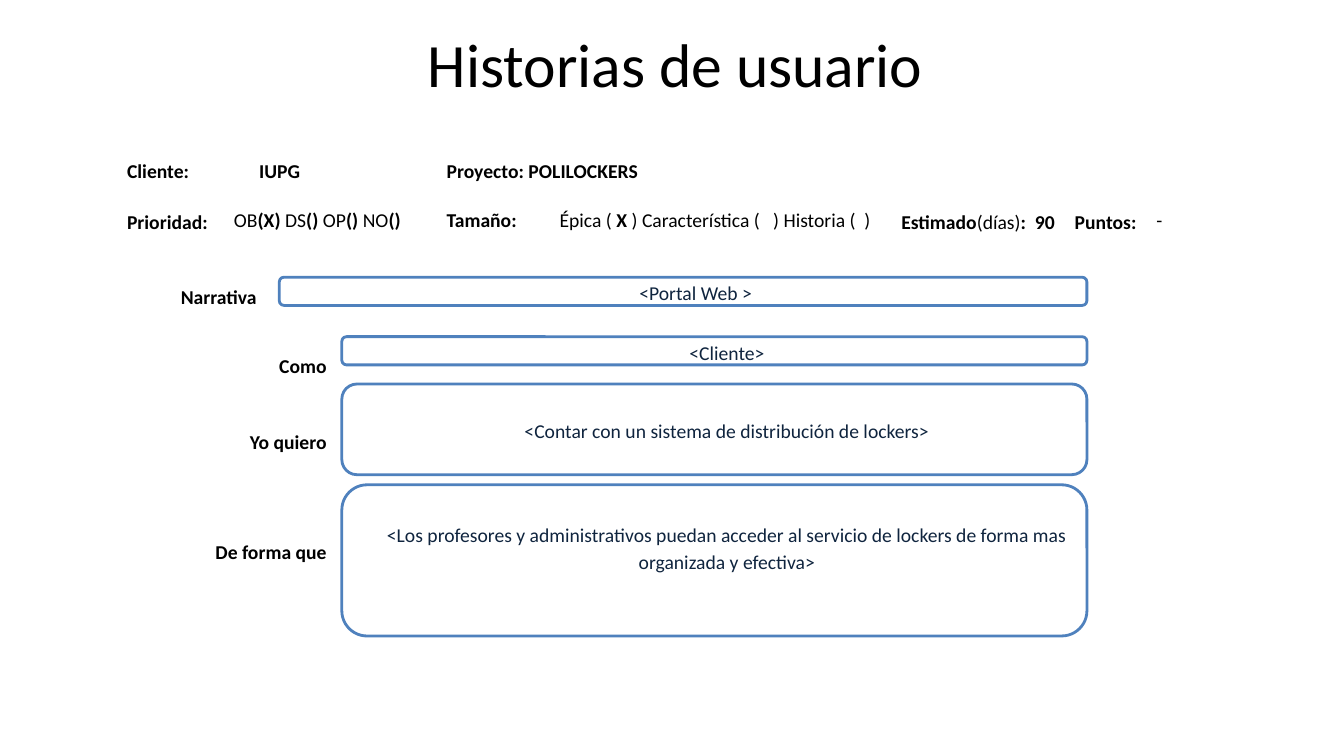
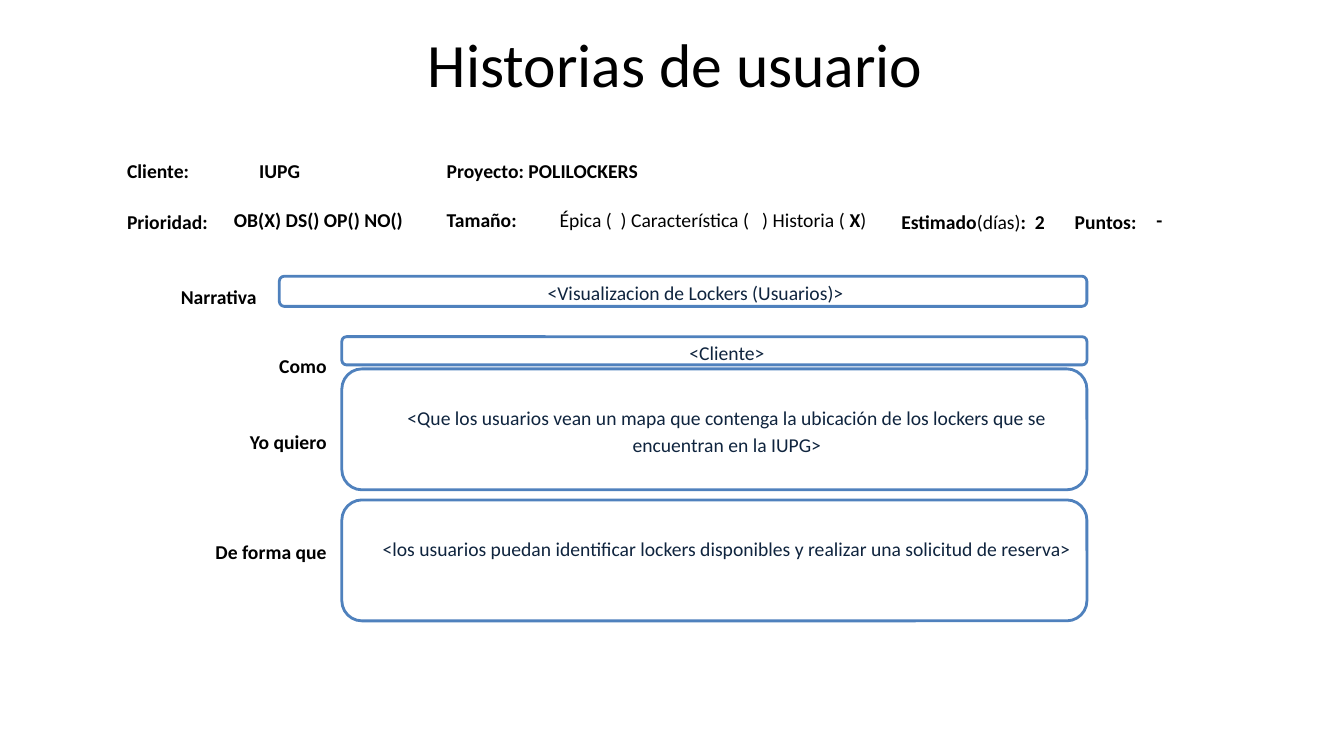
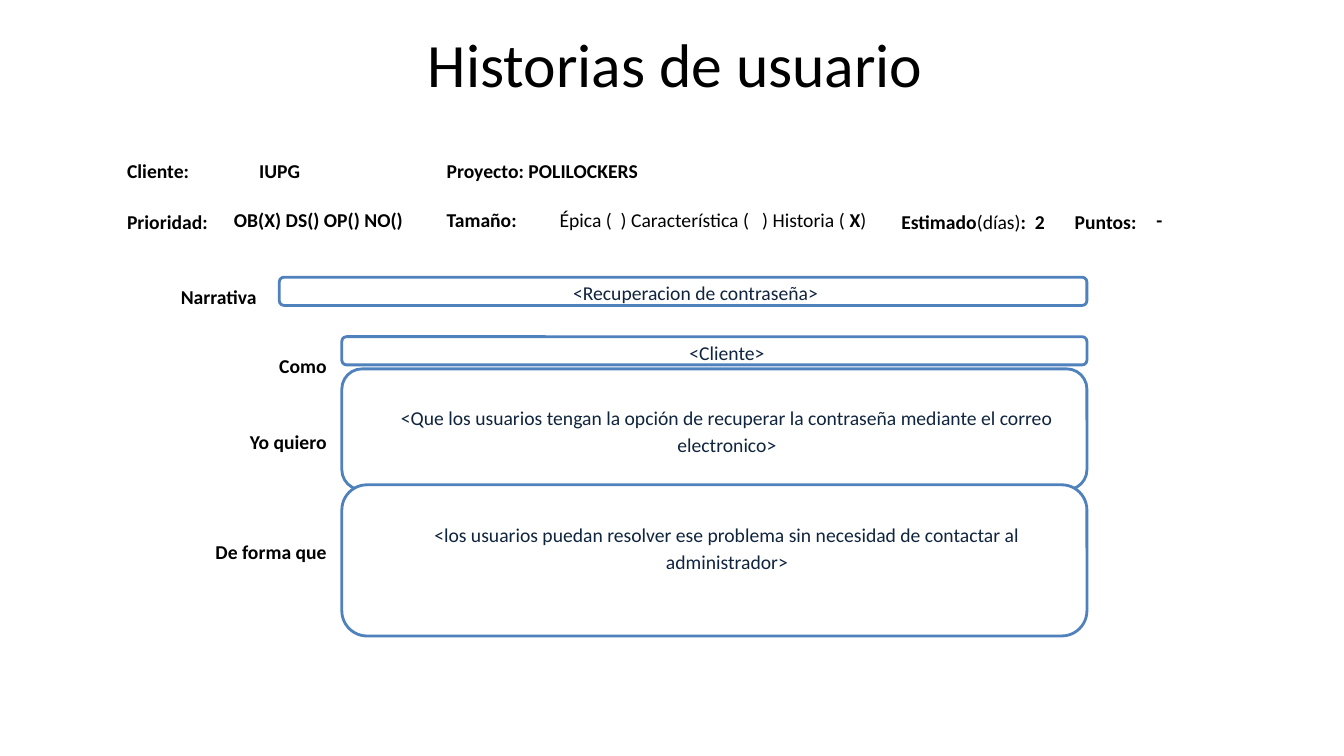
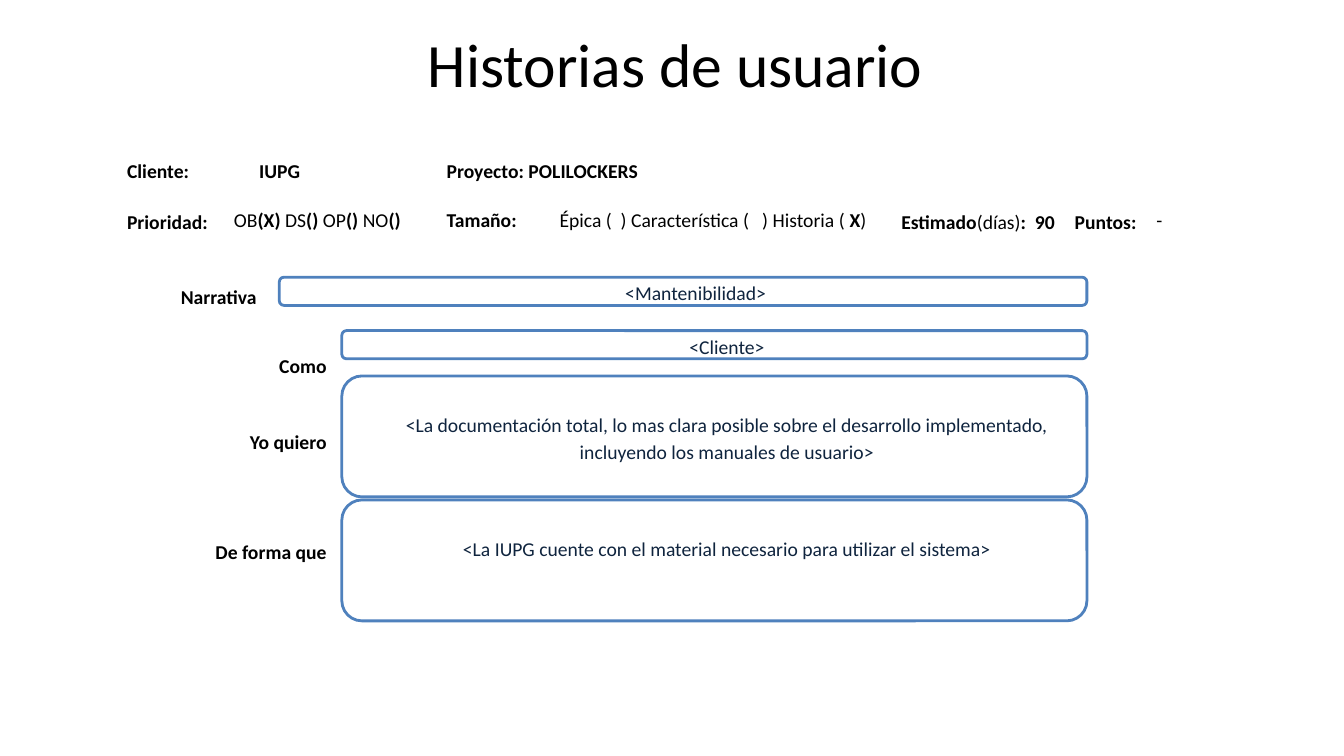
from pptx import Presentation
from pptx.dml.color import RGBColor
from pptx.enum.shapes import MSO_SHAPE as Shape
from pptx.enum.text import MSO_ANCHOR as Anchor, PP_ALIGN as Align
from pptx.util import Inches, Pt

# Content: asterisks switch bold on and off
TITLE = "Historias de usuario"
LABELS = ["Narrativa", "Como", "Yo quiero", "De forma que"]
PRIORITY_MIXED = "OB*(X) *DS*() *OP*() *NO*()"
PRIORITY_BOLD = "*OB(X) DS() OP() NO()*"
SIZE_EPIC = "Épica ( *X* ) Característica (   ) Historia (  )"
SIZE_STORY = "Épica (  ) Característica (   ) Historia ( *X*)"

# Each story lists one (text, top, height) box per label
STORIES = [
    dict(priority=PRIORITY_MIXED, size=SIZE_EPIC, days=90, points="-", boxes=[
        ("<Portal Web >", 2.75, 0.28),
        ("<Cliente>", 3.34, 0.28),
        ("<Contar con un sistema de distribución de lockers>", 3.81, 0.9),
        ("<Los profesores y administrativos puedan acceder al servicio de "
         "lockers de forma mas organizada y efectiva>", 4.81, 1.5)]),
    dict(priority=PRIORITY_BOLD, size=SIZE_STORY, days=2, points="*-*", boxes=[
        ("<Visualizacion de Lockers (Usuarios)>", 2.74, 0.3),
        ("<Cliente>", 3.34, 0.28),
        ("<Que los usuarios vean un mapa que contenga la ubicación de los "
         "lockers que se encuentran en la IUPG>", 3.66, 1.2),
        ("<los usuarios puedan identificar lockers disponibles y realizar "
         "una solicitud de reserva>", 4.96, 1.2)]),
    dict(priority=PRIORITY_BOLD, size=SIZE_STORY, days=2, points="*-*", boxes=[
        ("<Recuperacion de contraseña>", 2.75, 0.28),
        ("<Cliente>", 3.34, 0.28),
        ("<Que los usuarios tengan la opción de recuperar la contraseña "
         "mediante el correo electronico>", 3.66, 1.2),
        ("<los usuarios puedan resolver ese problema sin necesidad de "
         "contactar al administrador>", 4.81, 1.5)]),
    dict(priority=PRIORITY_MIXED, size=SIZE_STORY, days=90, points="-", boxes=[
        ("<Mantenibilidad>", 2.75, 0.28),
        ("<Cliente>", 3.28, 0.28),
        ("<La documentación total, lo mas clara posible sobre el desarrollo "
         "implementado, incluyendo los manuales de usuario>", 3.73, 1.2),
        ("<La IUPG cuente con el material necesario para utilizar el "
         "sistema>", 4.96, 1.2)]),
]

# Shared style
COLORS = {"text": "000000", "box_text": "0F243E",
          "box_line": "4F81BD", "box_fill": "FFFFFF"}
FONT = "Calibri"
HEADER_COLS, HEADER_ROWS = [1.06, 2.11, 1.12, 3.39, 1.72, 0.81, 0.46], [0.46, 0.55]
LABEL_COLS, LABEL_ROWS = [1.18, 0.55, 7.7], [0.62, 0.75, 0.75, 1.43]
BOX_LEFTS = [2.77, 3.39, 3.39, 3.39]
BOX_RIGHT = 10.78
BOTTOM_INSETS = [0, 0, 0, 0.27]  # the last box keeps one line free below


def color(name):
    return RGBColor.from_string(COLORS[name])


def write(tf, text, size=14, ink="text", align=Align.LEFT, spacing=1.15, indent=0):
    p = tf.paragraphs[0]
    p.alignment = align
    p.line_spacing = spacing
    if indent:
        p._p.get_or_add_pPr().set("marL", str(Inches(indent)))
    for i, part in enumerate(text.split("*")):
        if part:
            r = p.add_run()
            r.text = part
            r.font.name, r.font.size = FONT, Pt(size)
            r.font.bold = i % 2 == 1
            r.font.color.rgb = color(ink)


def add_grid(s, left, top, cols, rows):
    frame = s.shapes.add_table(len(rows), len(cols), Inches(left), Inches(top),
                               Inches(sum(cols)), Inches(sum(rows)))
    table = frame.table
    table.first_row = table.horz_banding = False
    for col, width in zip(table.columns, cols):
        col.width = Inches(width)
    for row, height in zip(table.rows, rows):
        row.height = Inches(height)
    for cell in table.iter_cells():
        cell.fill.background()
        cell.vertical_anchor = Anchor.MIDDLE
        cell.margin_left = cell.margin_right = Inches(0.07)
        cell.margin_top, cell.margin_bottom = Inches(0.02), 0
    return table


def add_labels(s):
    table = add_grid(s, 1.58, 2.62, LABEL_COLS, LABEL_ROWS)
    for row, label in enumerate(LABELS):
        first = 1 if row == 0 else 0
        table.cell(row, first).merge(table.cell(row, first + 1))
        write(table.cell(row, 0).text_frame, f"*{label}*",
              align=Align.RIGHT if row else Align.CENTER)


def add_box(s, text, left, top, height, bottom_inset):
    sp = s.shapes.add_shape(Shape.ROUNDED_RECTANGLE, Inches(left), Inches(top),
                            Inches(BOX_RIGHT - left), Inches(height))
    sp.shadow.inherit = False
    sp.fill.solid()
    sp.fill.fore_color.rgb = color("box_fill")
    sp.line.color.rgb = color("box_line")
    sp.line.width = Pt(2)
    tf = sp.text_frame
    tf.word_wrap = True
    tf.vertical_anchor = Anchor.MIDDLE
    tf.margin_left = tf.margin_right = tf.margin_top = 0
    tf.margin_bottom = Inches(bottom_inset)
    write(tf, text, ink="box_text", align=Align.CENTER, indent=0.25)


def add_header(s, story):
    table = add_grid(s, 1.19, 1.45, HEADER_COLS, HEADER_ROWS)
    table.cell(0, 2).merge(table.cell(0, 6))
    for col, (text, indent) in enumerate([("*Cliente:*", 0), ("*IUPG*", 0.25),
                                          ("*Proyecto: POLILOCKERS*", 0)]):
        write(table.cell(0, col).text_frame, text, indent=indent)
    details = [("*Prioridad:*", 1.15), (story["priority"], 1), ("*Tamaño:*", 1),
               (story["size"], 1), (f"*Estimado*(días)*:  {story['days']}*", 1.15),
               ("*Puntos:*", 1.15), (story["points"], 1)]
    for col, (text, spacing) in enumerate(details):
        write(table.cell(1, col).text_frame, text, spacing=spacing)


def main():
    prs = Presentation()
    prs.slide_width, prs.slide_height = Inches(13.33), Inches(7.5)

    # Title position, shared through the layout
    layout = prs.slide_layouts[5]
    title = layout.placeholders[0]
    title.left, title.top = Inches(0.7), Inches(0)
    title.width, title.height = Inches(12), Inches(1.25)

    for story in STORIES:
        s = prs.slides.add_slide(layout)
        write(s.shapes.title.text_frame, TITLE, size=44, align=Align.CENTER, spacing=1)
        add_labels(s)
        for (text, top, height), left, inset in zip(story["boxes"], BOX_LEFTS, BOTTOM_INSETS):
            add_box(s, text, left, top, height, inset)
        add_header(s, story)
    prs.save("out.pptx")


if __name__ == "__main__":
    main()
